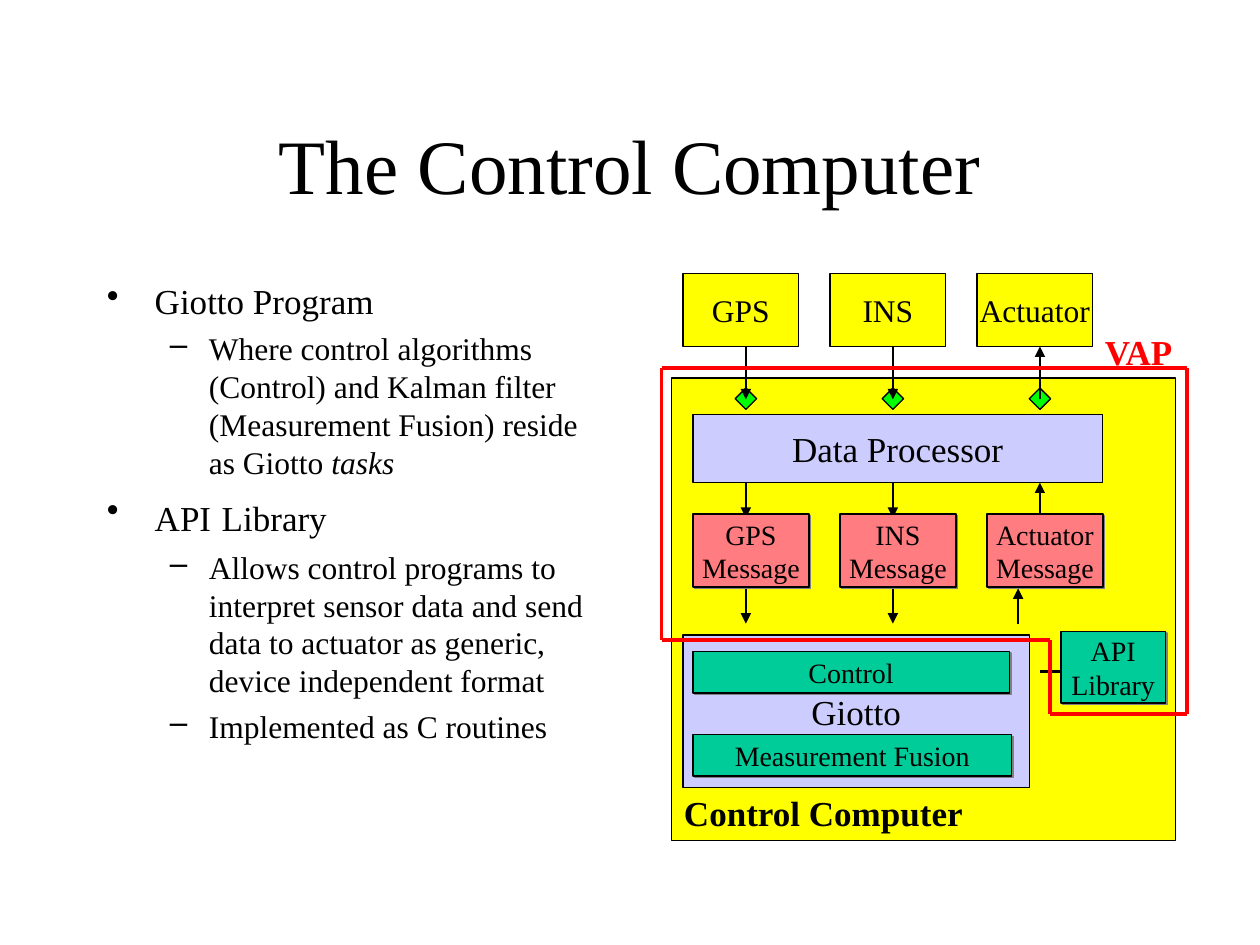
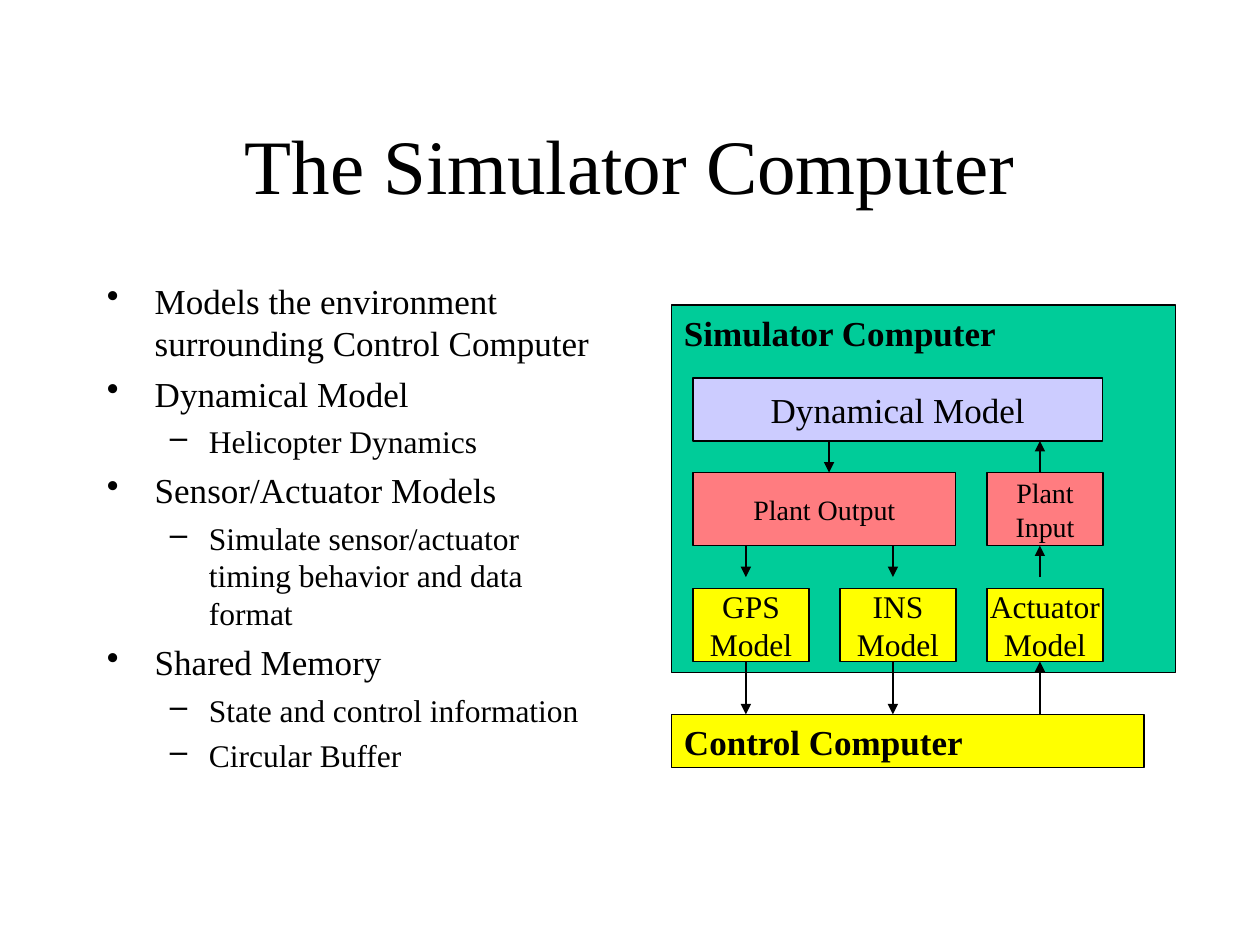
from lxml import etree
from pptx import Presentation
from pptx.dml.color import RGBColor
from pptx.enum import shapes, text
from pptx.oxml import ns
from pptx import util as u

FONT = "Times New Roman"
BLACK = RGBColor(0x00, 0x00, 0x00)
RED = RGBColor(0xFF, 0x00, 0x00)
YELLOW = RGBColor(0xFF, 0xFF, 0x00)
GREEN = RGBColor(0x00, 0xFF, 0x00)
TEAL = RGBColor(0x00, 0xCC, 0x99)
LAVENDER = RGBColor(0xCC, 0xCC, 0xFF)
SALMON = RGBColor(0xFF, 0x7C, 0x80)
SHADOW = RGBColor(0x80, 0x80, 0x80)

# Both diagrams hang on three channels: two sensors in, one actuator out
CHANNELS = ["GPS", "INS", "Actuator"]
PITCH = 7 / 6
CELL_W, CELL_H = 0.92, 0.58
FLOW_X = [0.67 + i * PITCH for i in range(3)]

# Bullet levels: character, left margin, hanging indent, space before, size
LEVELS = [("•", 0.38, 0.38, 5, 20), ("–", 0.81, 0.31, 4.5, 18)]


def add_run(paragraph, words, size, color=BLACK, bold=False, italic=False):
    run = paragraph.add_run()
    run.text = words
    font = run.font
    font.name, font.size = FONT, u.Pt(size)
    font.bold, font.italic = bold, italic
    font.color.rgb = color


def add_element(parent, tag, **attributes):
    return etree.SubElement(parent, ns.qn(tag), attributes)


class Region:
    """Places items on a slide relative to a left top corner, in inches."""

    def __init__(self, slide, left, top):
        self.slide, self.left, self.top = slide, left, top

    def point(self, x, y):
        return u.Inches(self.left + x), u.Inches(self.top + y)

    def text_frame(self, x, y, width, height):
        frame = self.slide.shapes.add_textbox(
            *self.point(x, y), u.Inches(width), u.Inches(height)).text_frame
        frame.word_wrap = True
        return frame

    def label(self, words, x, y, width, color=BLACK):
        frame = self.text_frame(x, y, width, 0.44)
        add_run(frame.paragraphs[0], words, 20, color, bold=True)

    def block(self, x, y, width, height, fill, lines=(), size=16,
              shadow=False, kind=shapes.MSO_SHAPE.RECTANGLE):
        block = self.slide.shapes.add_shape(
            kind, *self.point(x, y), u.Inches(width), u.Inches(height))
        block.fill.solid()
        block.fill.fore_color.rgb = fill
        block.line.color.rgb = BLACK
        block.line.width = u.Pt(0.75)
        block.shadow.inherit = False
        if shadow:
            effects = block._element.spPr.find(ns.qn("a:effectLst"))
            outer = add_element(effects, "a:outerShdw", dist=str(u.Pt(1.4)),
                                dir="2700000", algn="ctr", rotWithShape="0")
            add_element(outer, "a:srgbClr", val=str(SHADOW))
        frame = block.text_frame
        frame.word_wrap = False
        frame.vertical_anchor = text.MSO_ANCHOR.MIDDLE
        for i, line in enumerate(lines):
            paragraph = frame.add_paragraph() if i else frame.paragraphs[0]
            paragraph.alignment = text.PP_ALIGN.CENTER
            add_run(paragraph, line, size)

    def line(self, start, end, color=BLACK, width=1.25, arrow=False):
        line = self.slide.shapes.add_connector(
            shapes.MSO_CONNECTOR.STRAIGHT, *self.point(*start), *self.point(*end))
        line.line.color.rgb = color
        line.line.width = u.Pt(width)
        properties = line._element.spPr
        if arrow:
            add_element(properties.find(ns.qn("a:ln")), "a:tailEnd", type="triangle")
        add_element(properties, "a:effectLst")

    def flows(self, upper, lower, xs=FLOW_X):
        """Sensor arrows run down, the last (actuator) arrow runs up."""
        for x in xs[:-1]:
            self.line((x, upper), (x, lower), arrow=True)
        self.line((xs[-1], lower), (xs[-1], upper), arrow=True)

    def channel_row(self, x, y, fill, suffix=None, size=18, shadow=False):
        for i, channel in enumerate(CHANNELS):
            lines = [channel, suffix] if suffix else [channel]
            self.block(x + i * PITCH, y, CELL_W, CELL_H, fill, lines, size, shadow)


def add_title(slide, words):
    frame = Region(slide, 0.75, 0.67).text_frame(0, 0, 8.5, 1.25)
    frame.vertical_anchor = text.MSO_ANCHOR.MIDDLE
    frame.paragraphs[0].alignment = text.PP_ALIGN.CENTER
    add_run(frame.paragraphs[0], words, 44)


def add_bullets(slide, items):
    """Each item is a level and its runs: (words, optional font settings)."""
    frame = Region(slide, 0.75, 2.17).text_frame(0, 0, 4.17, 4.5)
    for i, (level, *runs) in enumerate(items):
        mark, margin, hanging, before, size = LEVELS[level]
        paragraph = frame.add_paragraph() if i else frame.paragraphs[0]
        properties = paragraph._p.get_or_add_pPr()
        properties.set("marL", str(u.Inches(margin)))
        properties.set("indent", str(-u.Inches(hanging)))
        add_element(properties, "a:buChar", char=mark)
        paragraph.level = level
        if i:
            paragraph.space_before = u.Pt(before)
        for words, settings in runs:
            add_run(paragraph, words, **{"size": size, **settings})


def control_diagram(slide, left, top):
    area = Region(slide, left, top)
    # Control computer with its data processor and Giotto program
    area.block(0.08, 0.83, 4, 3.67, YELLOW)
    area.block(0.25, 1.12, 3.25, 0.54, LAVENDER, ["Data Processor"], 20)
    area.block(0.17, 2.87, 2.75, 1.21, LAVENDER, ["Giotto"], 20)
    area.flows(1.66, 1.94)
    area.flows(2.5, 2.78, FLOW_X[:2] + [2.83])
    area.block(3.17, 2.84, 0.83, 0.57, TEAL, ["API", "Library"], shadow=True)
    area.line((3, 3.16), (3.17, 3.16), width=1.5)
    area.block(0.25, 3, 2.51, 0.33, TEAL, ["Control"], shadow=True)
    area.block(0.25, 3.66, 2.53, 0.33, TEAL, ["Measurement Fusion"], shadow=True)
    area.label("Control Computer", 0.08, 4.06, 4.25)
    # Ports, messages and outside devices
    port = 0.17
    for x in FLOW_X:
        area.block(x - port / 2, 0.91, port, port, GREEN,
                   kind=shapes.MSO_SHAPE.DIAMOND)
    area.channel_row(0.25, 1.91, SALMON, "Message", 16, shadow=True)
    area.channel_row(0.17, 0, YELLOW)
    area.flows(0.58, 1)
    # VAP boundary
    area.label("VAP", 3.42, 0.4, 0.83, RED)
    corners = [(0, 0.75), (4.17, 0.75), (4.17, 3.5),
               (3.08, 3.5), (3.08, 2.91), (0, 2.91)]
    for start, end in zip(corners, corners[1:] + corners[:1]):
        area.line(start, end, RED, 2.25)


def simulator_diagram(slide, left, top):
    area = Region(slide, left, top)
    # Control computer below the simulator
    area.block(0.08, 3.25, 3.75, 0.42, YELLOW)
    area.label("Control Computer", 0.08, 3.25, 3.75)
    # Simulator computer and its models
    area.block(0.08, 0, 4, 2.92, TEAL)
    area.channel_row(0.25, 2.25, YELLOW, "Model")
    area.block(0.25, 1.33, PITCH + CELL_W, CELL_H, SALMON, ["Plant Output"])
    area.block(0.25 + 2 * PITCH, 1.33, CELL_W, CELL_H, SALMON, ["Plant", "Input"])
    area.block(0.25, 0.58, 3.25, 0.5, LAVENDER, ["Dynamical Model"], 20)
    area.label("Simulator Computer", 0.08, 0, 3.75)
    # Data flow between the layers
    area.flows(1.08, 1.33, [1.33, FLOW_X[2]])
    area.flows(1.91, 2.16)
    area.flows(2.83, 3.25)


def add_slide(deck, title, items):
    slide = deck.slides.add_slide(deck.slide_layouts[6])
    add_title(slide, title)
    add_bullets(slide, items)
    return slide


def main():
    deck = Presentation()
    deck.slide_width, deck.slide_height = u.Inches(10), u.Inches(7.5)

    control = add_slide(deck, "The Control Computer", [
        (0, ("Giotto Program", {})),
        (1, ("Where control algorithms (Control) and Kalman filter "
             "(Measurement Fusion) reside as Giotto ", {}),
            ("tasks", {"italic": True})),
        (0, ("API", {}), (" ", {"size": 24}), ("Library", {})),
        (1, ("Allows control programs to interpret sensor data and send data "
             "to actuator as generic, device independent format", {})),
        (1, ("Implemented as C routines", {})),
    ])
    control_diagram(control, 5.25, 2.17)

    simulator = add_slide(deck, "The Simulator Computer", [
        (0, ("Models the environment surrounding Control Computer", {})),
        (0, ("Dynamical Model", {})),
        (1, ("Helicopter Dynamics", {})),
        (0, ("Sensor/Actuator Models", {})),
        (1, ("Simulate sensor/actuator timing behavior and data format", {})),
        (0, ("Shared Memory", {})),
        (1, ("State and control information", {})),
        (1, ("Circular Buffer", {})),
    ])
    simulator_diagram(simulator, 5.25, 2.42)

    deck.save("out.pptx")


if __name__ == "__main__":
    main()
